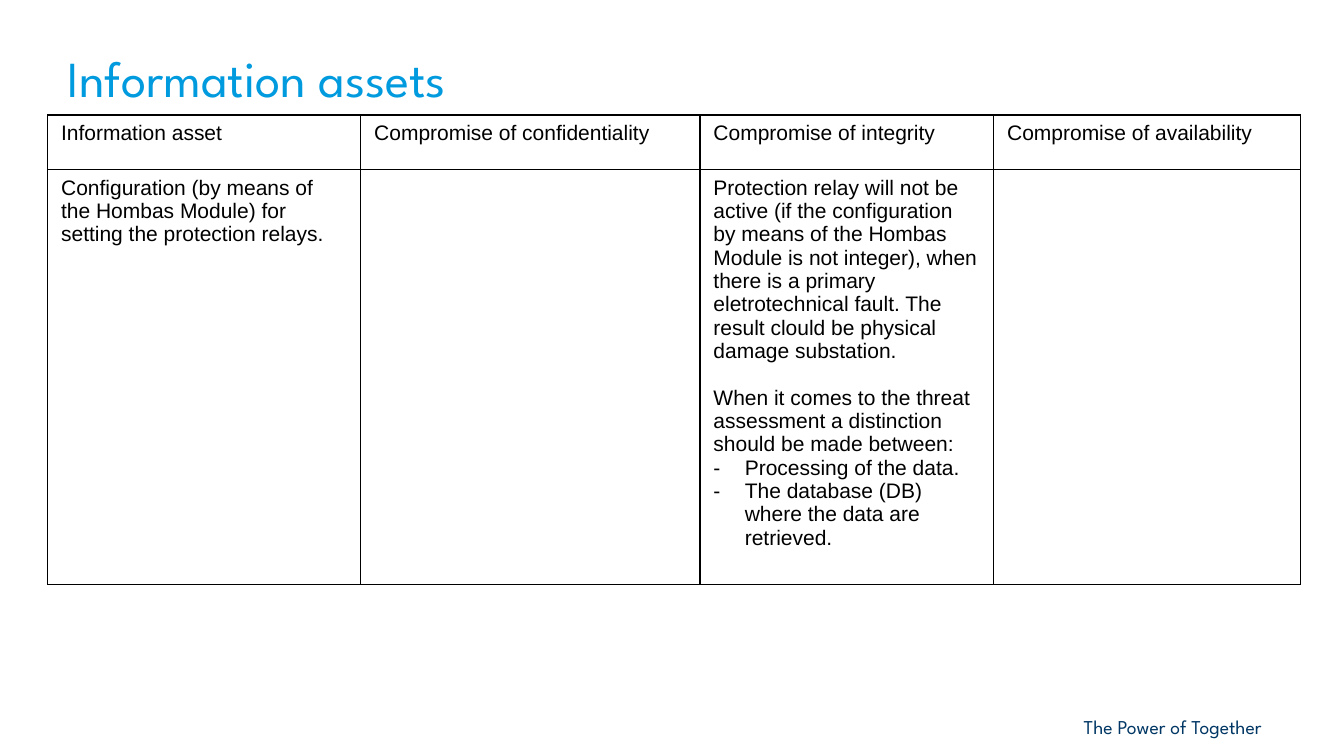
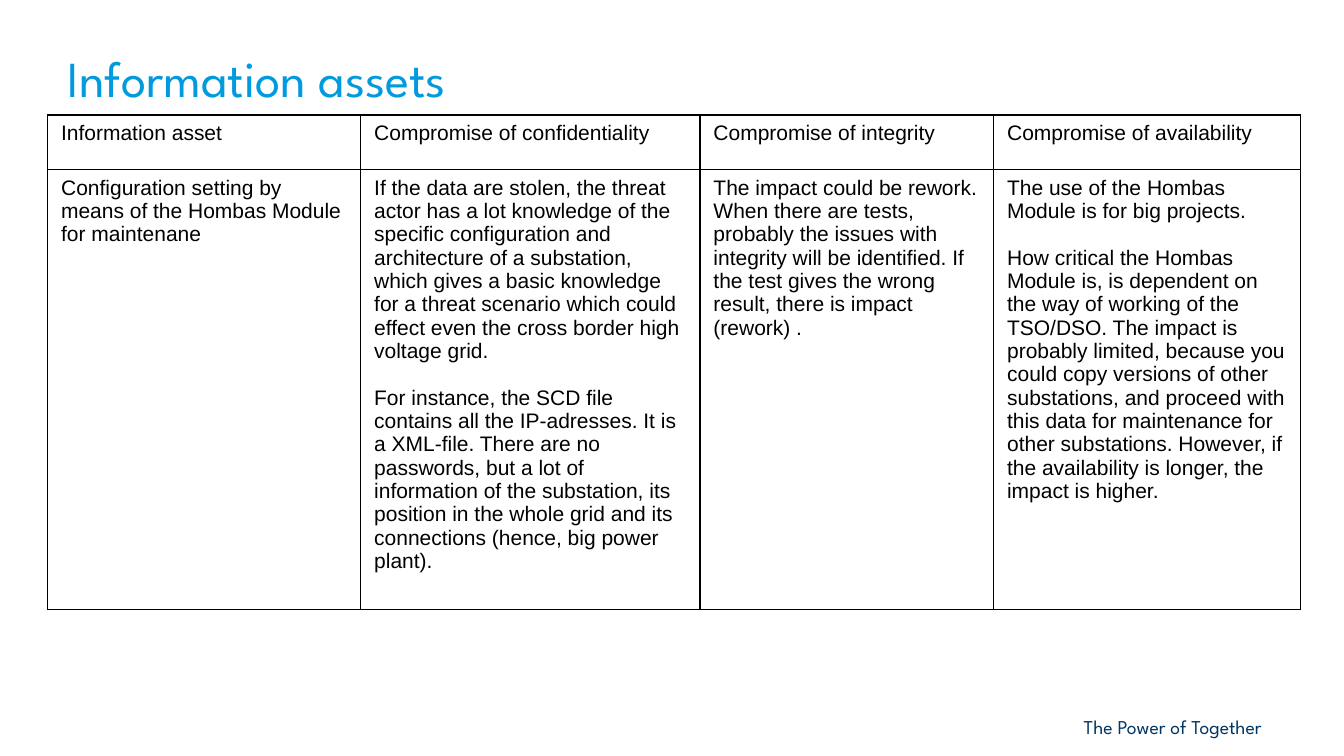
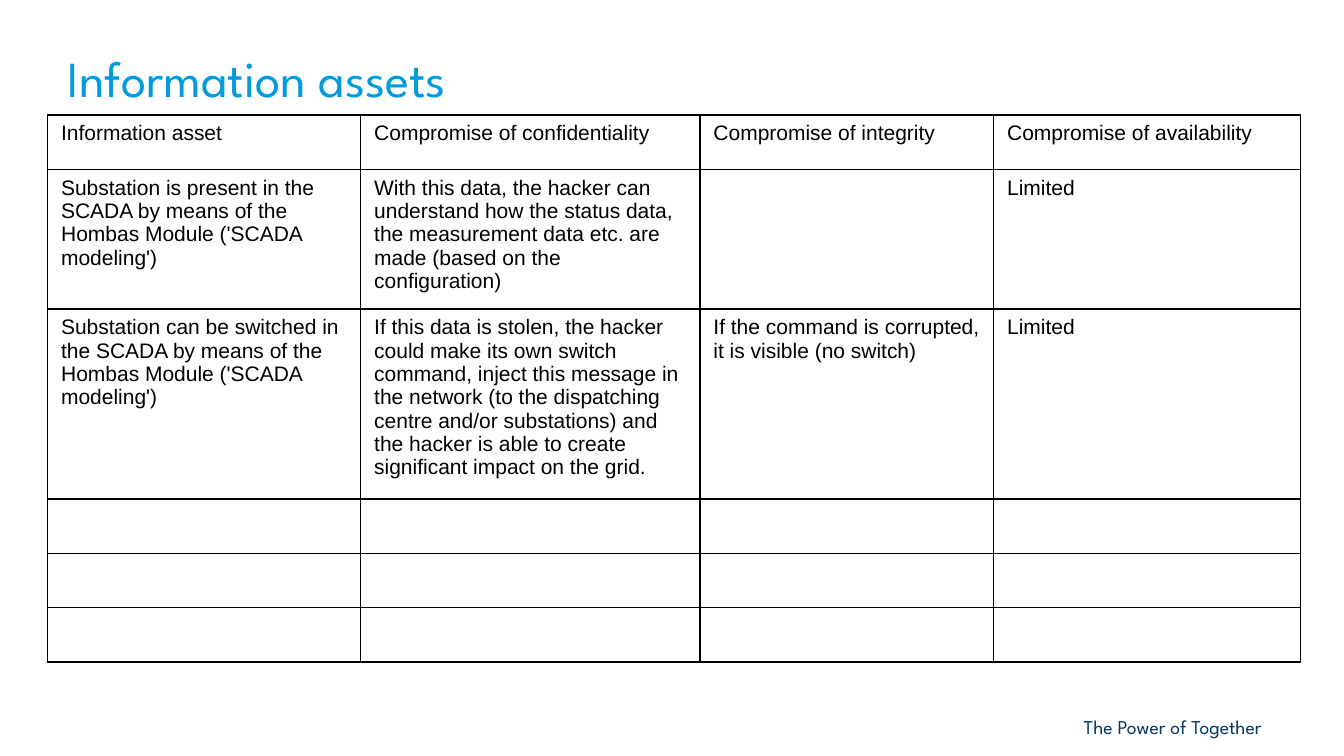
from dataclasses import dataclass

from lxml import etree
from pptx import Presentation
from pptx.dml.color import RGBColor
from pptx.enum.text import MSO_ANCHOR
from pptx.oxml.ns import qn
from pptx.util import Cm, Pt

MIDDLE = MSO_ANCHOR.MIDDLE


@dataclass(frozen=True)
class Theme:
    title_color: RGBColor = RGBColor(0x00, 0x9A, 0xDE)
    footer_color: RGBColor = RGBColor(0x00, 0x37, 0x64)
    ink: RGBColor = RGBColor(0, 0, 0)
    paper: RGBColor = RGBColor(0xFF, 0xFF, 0xFF)
    heading_font: str = "League Spartan"
    body_font: str = "Arial"
    title_size: float = 36
    footer_size: float = 14
    body_size: float = 15
    paragraph_gap: float = 16.66
    border: float = 1


@dataclass(frozen=True)
class Label:
    text: str
    box: tuple[float, float, float, float]
    size: float
    color: RGBColor
    pad_x: float = 0
    pad_top: float = 0
    pad_bottom: float = 0
    line_spacing: float = 1


@dataclass(frozen=True)
class Para:
    text: str
    gap_before: bool = False
    dash: bool = False


Cell = tuple[Para, ...]
Row = tuple[Cell, Cell, Cell, Cell]

THEME = Theme()
TITLE = Label("Information assets", (1.71, 1.4, 30.2, 1.73),
              THEME.title_size, THEME.title_color, pad_bottom=0.43,
              line_spacing=0.9)
FOOTER = Label("The Power of Together", (27.06, 17.88, 5.9, 0.87),
               THEME.footer_size, THEME.footer_color, pad_x=0.25,
               pad_top=0.13, pad_bottom=0.13)

TABLE_LEFT, TABLE_TOP = 1.2, 2.9
COLUMN_WIDTHS = (7.89, 8.55, 7.4, 7.74)
ROW_HEIGHT = 1.37
CELL_MARGINS = {"margin_left": Cm(0.34), "margin_right": Cm(0.34),
                "margin_top": Cm(0.17), "margin_bottom": Cm(0.17)}
DASH_INDENT = Cm(0.79)

EMPTY: Cell = ()
EMPTY_ROW: Row = (EMPTY,) * 4
LIMITED: Cell = (Para("Limited"),)
HEADER: Row = (
    (Para("Information asset"),),
    (Para("Compromise of confidentiality"),),
    (Para("Compromise of integrity"),),
    (Para("Compromise of availability"),),
)

SLIDES: tuple[tuple[Row, ...], ...] = (
    ((
        (Para("Configuration (by means of the Hombas Module) for setting the "
              "protection relays."),),
        EMPTY,
        (Para("Protection relay will not be active (if the configuration by "
              "means of the Hombas Module is not integer), when there is a "
              "primary eletrotechnical fault. The result clould be physical "
              "damage substation."),
         Para("When it comes to the threat assessment a distinction should "
              "be made between:", gap_before=True),
         Para("Processing of the data.", dash=True),
         Para("The database (DB) where the data are retrieved.", dash=True)),
        EMPTY,
    ),),
    ((
        (Para("Configuration setting by means of the Hombas Module for "
              "maintenane"),),
        (Para("If the data are stolen, the threat actor has a lot knowledge "
              "of the specific configuration and architecture of a "
              "substation, which gives a basic knowledge for a threat "
              "scenario which could effect even the cross border high "
              "voltage grid."),
         Para("For instance, the SCD file contains all the IP-adresses. It "
              "is a XML-file. There are no passwords, but a lot of "
              "information of the substation, its position in the whole grid "
              "and its connections (hence, big power plant).",
              gap_before=True)),
        (Para("The impact could be rework. When there are tests, probably "
              "the issues with integrity will be identified. If the test "
              "gives the wrong result, there is impact (rework) ."),),
        (Para("The use of the Hombas Module is for big projects."),
         Para("How critical the Hombas Module is, is dependent on the way of "
              "working of the TSO/DSO. The impact is probably limited, "
              "because you could copy versions of other substations, and "
              "proceed with this data for maintenance for other substations. "
              "However, if the availability is longer, the impact is higher.",
              gap_before=True)),
    ),),
    (
        (
            (Para("Substation is present in the SCADA by means of the Hombas "
                  "Module ('SCADA modeling')"),),
            (Para("With this data, the hacker can understand how the status "
                  "data, the measurement data etc. are made (based on the "
                  "configuration)"),),
            EMPTY,
            LIMITED,
        ),
        (
            (Para("Substation can be switched in the SCADA by means of the "
                  "Hombas Module ('SCADA modeling')"),),
            (Para("If this data is stolen, the hacker could make its own "
                  "switch command, inject this message in the network (to "
                  "the dispatching centre and/or substations) and the hacker "
                  "is able to create significant impact on the grid."),),
            (Para("If the command is corrupted, it is visible (no switch)"),),
            LIMITED,
        ),
        EMPTY_ROW, EMPTY_ROW, EMPTY_ROW,
    ),
)


def set_all(target, values: dict) -> None:
    for name, value in values.items():
        setattr(target, name, value)


def add_run(p, text: str, font: str, size: float, color: RGBColor) -> None:
    r = p.add_run()
    r.text = text
    set_all(r.font, {"name": font, "size": Pt(size)})
    r.font.color.rgb = color


def add_label(s, label: Label) -> None:
    tf = s.shapes.add_textbox(*map(Cm, label.box)).text_frame
    set_all(tf, {"word_wrap": True, "vertical_anchor": MIDDLE,
                 "margin_left": Cm(label.pad_x),
                 "margin_right": Cm(label.pad_x),
                 "margin_top": Cm(label.pad_top),
                 "margin_bottom": Cm(label.pad_bottom)})
    p = tf.paragraphs[0]
    p.line_spacing = label.line_spacing
    add_run(p, label.text, THEME.heading_font, label.size, label.color)


def add_dash(p) -> None:
    """Give the paragraph a hanging dash bullet."""
    pPr = p._p.get_or_add_pPr()
    pPr.set("marL", str(DASH_INDENT))
    pPr.set("indent", str(-DASH_INDENT))
    etree.SubElement(pPr, qn("a:buFont"), typeface=THEME.body_font)
    etree.SubElement(pPr, qn("a:buChar"), char="-")


def add_borders(cell) -> None:
    tcPr = cell._tc.get_or_add_tcPr()
    for side in ("lnL", "lnR", "lnT", "lnB"):
        ln = etree.SubElement(tcPr, qn(f"a:{side}"), w=str(Pt(THEME.border)))
        fill = etree.SubElement(ln, qn("a:solidFill"))
        etree.SubElement(fill, qn("a:srgbClr"), val=str(THEME.ink))


def fill_cell(cell, paras: Cell) -> None:
    set_all(cell, CELL_MARGINS)
    add_borders(cell)
    cell.fill.solid()
    cell.fill.fore_color.rgb = THEME.paper
    tf = cell.text_frame
    for i, para in enumerate(paras):
        p = tf.add_paragraph() if i else tf.paragraphs[0]
        if para.gap_before:
            p.space_before = Pt(THEME.paragraph_gap)
        if para.dash:
            add_dash(p)
        add_run(p, para.text, THEME.body_font, THEME.body_size, THEME.ink)


def add_asset_table(s, rows: tuple[Row, ...]) -> None:
    table = s.shapes.add_table(
        len(rows), len(COLUMN_WIDTHS), Cm(TABLE_LEFT), Cm(TABLE_TOP),
        Cm(sum(COLUMN_WIDTHS)), Cm(ROW_HEIGHT * len(rows))).table
    set_all(table, {"first_row": False, "horz_banding": False})
    for column, width in zip(table.columns, COLUMN_WIDTHS):
        column.width = Cm(width)
    for table_row, row in zip(table.rows, rows):
        table_row.height = Cm(ROW_HEIGHT)
        for cell, paras in zip(table_row.cells, row):
            fill_cell(cell, paras)


def main() -> None:
    prs = Presentation()
    set_all(prs, {"slide_width": Cm(33.87), "slide_height": Cm(19.05)})
    blank = prs.slide_layouts[6]
    for rows in SLIDES:
        s = prs.slides.add_slide(blank)
        add_label(s, FOOTER)
        add_label(s, TITLE)
        add_asset_table(s, (HEADER, *rows))
    prs.save("out.pptx")


if __name__ == "__main__":
    main()
